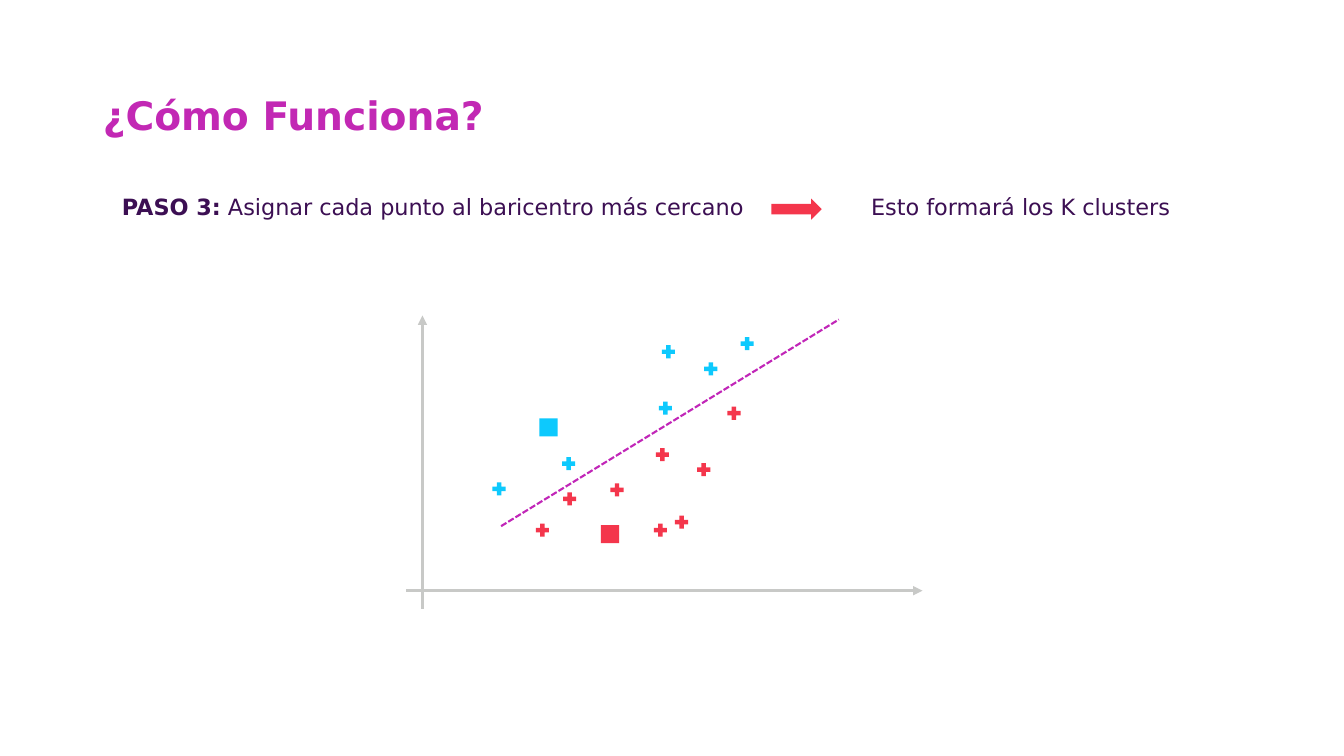
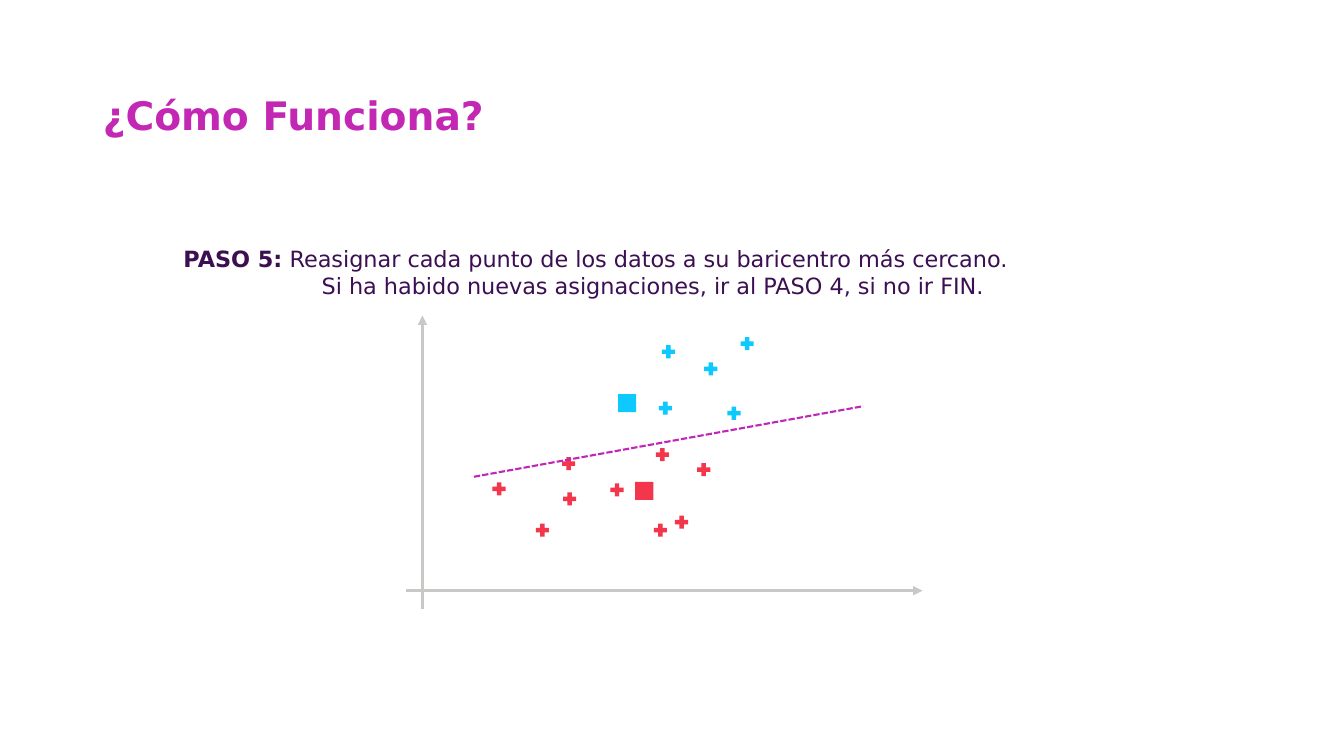
"""Build two slides that show steps of k-means clustering."""
import pptx
import pptx.dml.color
import pptx.enum.dml
import pptx.enum.shapes
import pptx.enum.text
import pptx.util
from lxml import etree
from pptx.oxml.ns import qn

Inches = pptx.util.Inches
Pt = pptx.util.Pt
SHAPE = pptx.enum.shapes.MSO_SHAPE
LEFT = pptx.enum.text.PP_ALIGN.LEFT


class Theme:
    font = "DejaVu Sans"
    title = "C228B4"
    text = "3C0F53"
    axis = "C8C9C7"
    split = "C126B8"
    red = "F4364C"
    blue = "0DC9FD"
    head_size = 28
    body_size = 16
    axis_width = 2.25
    split_width = 1.5


TITLE = "¿Cómo Funciona?"
AXES = [((4.19, 6.04), (4.19, 3.13)), ((4.03, 5.86), (9.15, 5.86))]
POINTS = [
    (7.28, 4.1), (5.38, 5.26), (6.57, 4.51), (6.76, 5.18), (5.65, 4.95),
    (6.12, 4.86), (6.55, 5.26), (6.98, 4.66), (4.95, 4.85), (5.64, 4.6),
    (6.6, 4.05), (7.05, 3.66), (7.41, 3.41), (6.63, 3.49),
]
CROSS, CENTER = 0.13, 0.18

STEPS = [
    {
        "notes": [
            ((1.16, 1.87, 6.4, 0.37),
             [("PASO 3:", " Asignar cada punto al baricentro más cercano", 0)]),
            ((8.59, 1.87, 3.3, 0.37), [("", "Esto formará los K clusters", 0)]),
        ],
        "arrow": (7.65, 1.97, 0.5, 0.21),
        "blue": {8, 9, 10, 11, 12, 13},
        "centers": [((6.05, 5.3), Theme.red), ((5.44, 4.24), Theme.blue)],
        "split": ((4.97, 5.22), (8.32, 3.17)),
    },
    {
        "notes": [
            ((1.77, 2.38, 8.6, 0.64), [
                ("PASO 5:", " Reasignar cada punto de los datos a su "
                 "baricentro más cercano.", 0),
                ("", "Si ha habido nuevas asignaciones, ir al PASO 4, "
                 "si no ir FIN.", 1.37),
            ]),
        ],
        "arrow": None,
        "blue": {0, 10, 11, 12, 13},
        "centers": [((6.39, 4.87), Theme.red), ((6.22, 4), Theme.blue)],
        "split": ((4.7, 4.73), (8.56, 4.03)),
    },
]


def rgb(code):
    """Turn a hex code into a colour."""
    return pptx.dml.color.RGBColor.from_string(code)


def style(font, size, color):
    """Set the face, size and colour of a font."""
    font.name, font.size = Theme.font, Pt(size)
    font.color.rgb = rgb(color)


def add_title(slide):
    """Place and format the title."""
    title = slide.shapes.title
    title.left, title.top = Inches(0.92), Inches(0.71)
    title.width, title.height = Inches(11.5), Inches(0.91)
    frame = title.text_frame
    frame.text = TITLE
    frame.vertical_anchor = pptx.enum.text.MSO_ANCHOR.MIDDLE
    para = frame.paragraphs[0]
    para.alignment, para.line_spacing = LEFT, 0.9
    style(para.font, Theme.head_size, Theme.title)
    para.font.bold = True


def add_note(slide, box, lines):
    """Write lines, each with a bold lead and an indent."""
    frame = slide.shapes.add_textbox(*map(Inches, box)).text_frame
    frame.word_wrap = True
    frame.margin_left = frame.margin_right = Inches(0.05)
    frame.margin_top = frame.margin_bottom = Inches(0.05)
    for row, (lead, body, indent) in enumerate(lines):
        para = frame.add_paragraph() if row else frame.paragraphs[0]
        para.alignment = LEFT
        if indent:
            para._p.get_or_add_pPr().set("marL", str(Inches(indent)))
        style(para.font, Theme.body_size, Theme.text)
        if lead:
            run = para.add_run()
            run.text, run.font.bold = lead, True
        para.add_run().text = body


def add_shape(slide, kind, box, color):
    """Draw a flat shape with no outline."""
    shape = slide.shapes.add_shape(kind, *map(Inches, box))
    shape.shadow.inherit = False
    shape.fill.solid()
    shape.fill.fore_color.rgb = rgb(color)
    shape.line.fill.background()
    return shape


def add_mark(slide, kind, point, size, color):
    """Draw a shape centred on a point."""
    x, y = point
    box = (x - size / 2, y - size / 2, size, size)
    return add_shape(slide, kind, box, color)


def add_line(slide, ends, color, width):
    """Draw a straight line with no shadow."""
    start, end = ends
    line = slide.shapes.add_connector(
        pptx.enum.shapes.MSO_CONNECTOR.STRAIGHT, *map(Inches, start + end))
    line.line.color.rgb = rgb(color)
    line.line.width = Pt(width)
    etree.SubElement(line._element.spPr, qn("a:effectLst"))
    return line


def add_plot(slide, step):
    """Draw the axes, points, centers and split line."""
    for ends in AXES:
        axis = add_line(slide, ends, Theme.axis, Theme.axis_width)
        tail = etree.SubElement(axis.line._get_or_add_ln(), qn("a:tailEnd"))
        tail.set("type", "triangle")
    for index, point in enumerate(POINTS):
        color = Theme.blue if index in step["blue"] else Theme.red
        cross = add_mark(slide, SHAPE.CROSS, point, CROSS, color)
        cross.adjustments[0] = 0.33
    for point, color in step["centers"]:
        add_mark(slide, SHAPE.RECTANGLE, point, CENTER, color)
    split = add_line(slide, step["split"], Theme.split, Theme.split_width)
    split.line.dash_style = pptx.enum.dml.MSO_LINE.SQUARE_DOT


def main():
    """Build and save the deck."""
    deck = pptx.Presentation()
    deck.slide_width, deck.slide_height = Inches(13.33), Inches(7.5)
    for step in STEPS:
        slide = deck.slides.add_slide(deck.slide_layouts[5])
        add_title(slide)
        add_plot(slide, step)
        for box, lines in step["notes"]:
            add_note(slide, box, lines)
        if step["arrow"]:
            add_shape(slide, SHAPE.RIGHT_ARROW, step["arrow"], Theme.red)
    deck.save("out.pptx")


if __name__ == "__main__":
    main()
